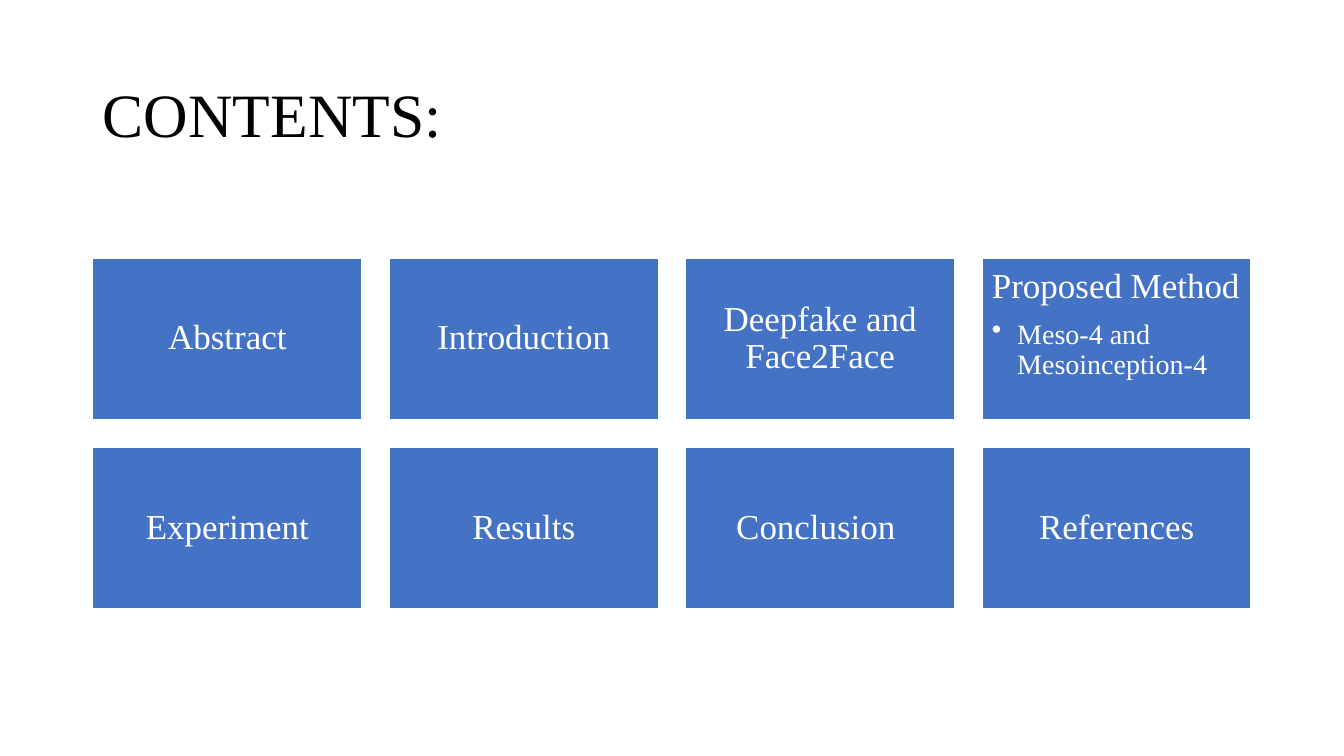
import pptx
import pptx.util
import pptx.dml.color
import pptx.enum.shapes
import pptx.enum.text
import pptx.oxml.ns
import lxml.etree

Inches = pptx.util.Inches
Pt = pptx.util.Pt
RGBColor = pptx.dml.color.RGBColor
Align = pptx.enum.text.PP_ALIGN
Anchor = pptx.enum.text.MSO_ANCHOR

BLACK = RGBColor(0x00, 0x00, 0x00)
WHITE = RGBColor(0xFF, 0xFF, 0xFF)
BLUE = RGBColor(0x44, 0x72, 0xC4)

COLUMNS = 4
LEFT, TOP = 0.92, 2.56
TILE_WIDTH, TILE_HEIGHT, GAP = 2.67, 1.6, 0.27
TOPICS = [
    ["Abstract"],
    ["Introduction"],
    ["Deepfake and Face2Face"],
    ["Proposed Method", "Meso-4 and Mesoinception-4"],
    ["Experiment"],
    ["Results"],
    ["Conclusion "],
    ["References"],
]


class ContentsPage:
    """Draws the title and topic tiles of one page in a shared style."""

    font = "Times New Roman"

    def __init__(self, deck):
        self.page = deck.slides.add_slide(deck.slide_layouts[5])

    def style(self, para, size, color, align):
        para.alignment = align
        para.line_spacing = 0.9
        for span in para.runs:
            span.font.name = self.font
            span.font.size = Pt(size)
            span.font.color.rgb = color

    def title(self, text):
        box = self.page.shapes.title
        box.left, box.top = Inches(LEFT), Inches(0.74)
        box.width, box.height = Inches(11.5), Inches(1.45)
        frame = box.text_frame
        frame.text = text
        frame.vertical_anchor = Anchor.TOP
        frame.margin_top = Inches(0.1)
        self.style(frame.paragraphs[0], 44, BLACK, Align.LEFT)

    def bullet(self, para):
        properties = para._p.get_or_add_pPr()
        properties.set("marL", str(Inches(0.25)))
        properties.set("indent", str(-Inches(0.25)))
        mark = lxml.etree.SubElement(properties, pptx.oxml.ns.qn("a:buChar"))
        mark.set("char", "•")

    def tile(self, column, row, heading, *details):
        box = self.page.shapes.add_shape(
            pptx.enum.shapes.MSO_SHAPE.RECTANGLE,
            Inches(LEFT + column * (TILE_WIDTH + GAP)),
            Inches(TOP + row * (TILE_HEIGHT + GAP + 0.01)),
            Inches(TILE_WIDTH), Inches(TILE_HEIGHT))
        box.shadow.inherit = False
        box.fill.solid()
        box.fill.fore_color.rgb = BLUE
        box.line.color.rgb = WHITE
        box.line.width = Pt(1)
        frame = box.text_frame
        frame.word_wrap = True
        frame.margin_left = frame.margin_right = Inches(0.1)
        frame.margin_top = frame.margin_bottom = Inches(0.1)
        frame.vertical_anchor = Anchor.TOP if details else Anchor.MIDDLE
        frame.text = heading
        first = frame.paragraphs[0]
        self.style(first, 25, WHITE, Align.LEFT if details else Align.CENTER)
        for detail in details:
            first.space_after = Pt(10)
            para = frame.add_paragraph()
            para.text = detail
            para.level = 1
            self.style(para, 20, WHITE, Align.LEFT)
            self.bullet(para)


def main():
    deck = pptx.Presentation()
    deck.slide_width, deck.slide_height = Inches(13.33), Inches(7.5)
    contents = ContentsPage(deck)
    contents.title("CONTENTS:")
    for index, topic in enumerate(TOPICS):
        row, column = divmod(index, COLUMNS)
        contents.tile(column, row, *topic)
    deck.save("out.pptx")


if __name__ == "__main__":
    main()
